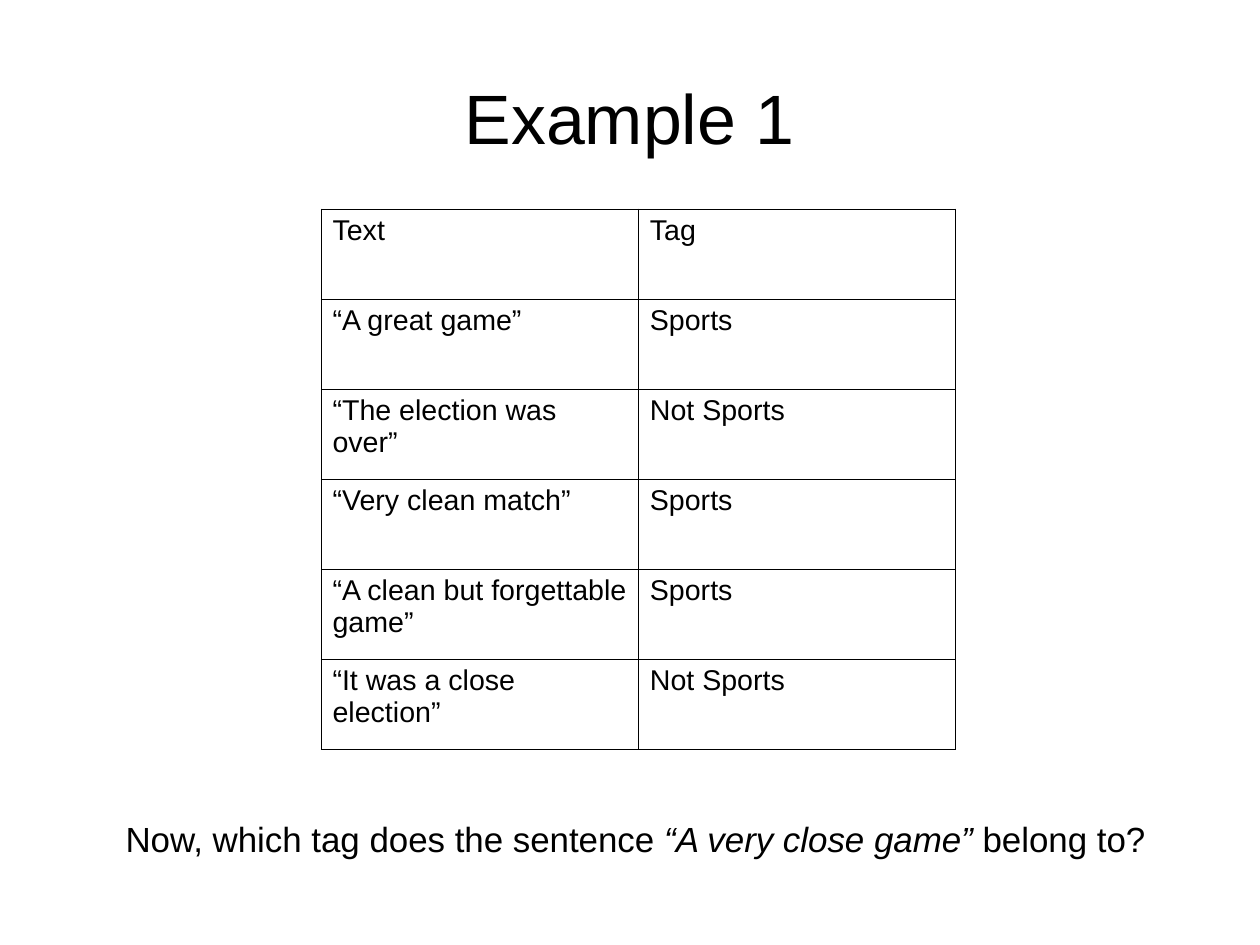
from lxml import etree
from pptx import Presentation
from pptx.enum import text as t
from pptx.oxml import ns
from pptx.util import Pt
from pptx.dml.color import RGBColor

TITLE = "Example 1"
ROWS = [
    ("Text", "Tag"),
    ("“A great game”", "Sports"),
    ("“The election was over”", "Not Sports"),
    ("“Very clean match”", "Sports"),
    ("“A clean but forgettable game”", "Sports"),
    ("“It was a close election”", "Not Sports"),
]
QUERY = [
    ("Now, which tag does the sentence", False),
    (" “A very close game”", True),
    (" belong to?", False),
]
COLORS = {"ink": "000000"}
SIZE = {"title": 44, "cell": 18, "query": 22}
SLIDE = (793.7, 595.28)
BOXES = {"title": (39.6, 23.8, 714.2, 99.4), "query": (72, 511.2, 669.6, 31.7)}
GRID = {"left": 202.3, "top": 131.6, "col": 199.9, "row": 56.7, "line": 0.57}
INSET = {"margin_left": 7.2, "margin_right": 7.2, "margin_top": 3.6, "margin_bottom": 3.6}


def add_run(para, words, size, italic=False):
    run = para.add_run()
    run.text = words
    look = {"name": "Arial", "size": Pt(size), "bold": False, "italic": italic}
    for key, value in look.items():
        setattr(run.font, key, value)
    run.font.color.rgb = RGBColor.from_string(COLORS["ink"])


def inset(part, scale=1):
    for side, gap in INSET.items():
        setattr(part, side, Pt(gap * scale))


def add_borders(cell):
    props = cell._tc.get_or_add_tcPr()
    for spot, side in enumerate(("lnL", "lnR", "lnT", "lnB")):
        line = etree.Element(ns.qn(f"a:{side}"), w=str(Pt(GRID["line"])))
        fill = etree.SubElement(line, ns.qn("a:solidFill"))
        etree.SubElement(fill, ns.qn("a:srgbClr"), val=COLORS["ink"])
        props.insert(spot, line)


def add_title(slide):
    title = slide.shapes.title
    title.left, title.top, title.width, title.height = map(Pt, BOXES["title"])
    frame = title.text_frame
    inset(frame, 0)
    frame.vertical_anchor = t.MSO_ANCHOR.MIDDLE
    frame.paragraphs[0].alignment = t.PP_ALIGN.CENTER
    add_run(frame.paragraphs[0], TITLE, SIZE["title"])


def add_grid(slide):
    high, wide = len(ROWS), len(ROWS[0])
    place = (GRID["left"], GRID["top"], GRID["col"] * wide, GRID["row"] * high)
    table = slide.shapes.add_table(high, wide, *map(Pt, place)).table
    table.first_row = table.horz_banding = False
    for col in table.columns:
        col.width = Pt(GRID["col"])
    for row, words in zip(table.rows, ROWS):
        row.height = Pt(GRID["row"])
        for cell, word in zip(row.cells, words):
            inset(cell)
            cell.fill.background()
            add_borders(cell)
            add_run(cell.text_frame.paragraphs[0], word, SIZE["cell"])


def add_query(slide):
    frame = slide.shapes.add_textbox(*map(Pt, BOXES["query"])).text_frame
    frame.word_wrap = True
    inset(frame)
    for words, italic in QUERY:
        add_run(frame.paragraphs[0], words, SIZE["query"], italic)


def main():
    deck = Presentation()
    deck.slide_width, deck.slide_height = map(Pt, SLIDE)
    slide = deck.slides.add_slide(deck.slide_layouts.get_by_name("Title Only"))
    add_title(slide)
    add_grid(slide)
    add_query(slide)
    deck.save("out.pptx")


if __name__ == "__main__":
    main()
